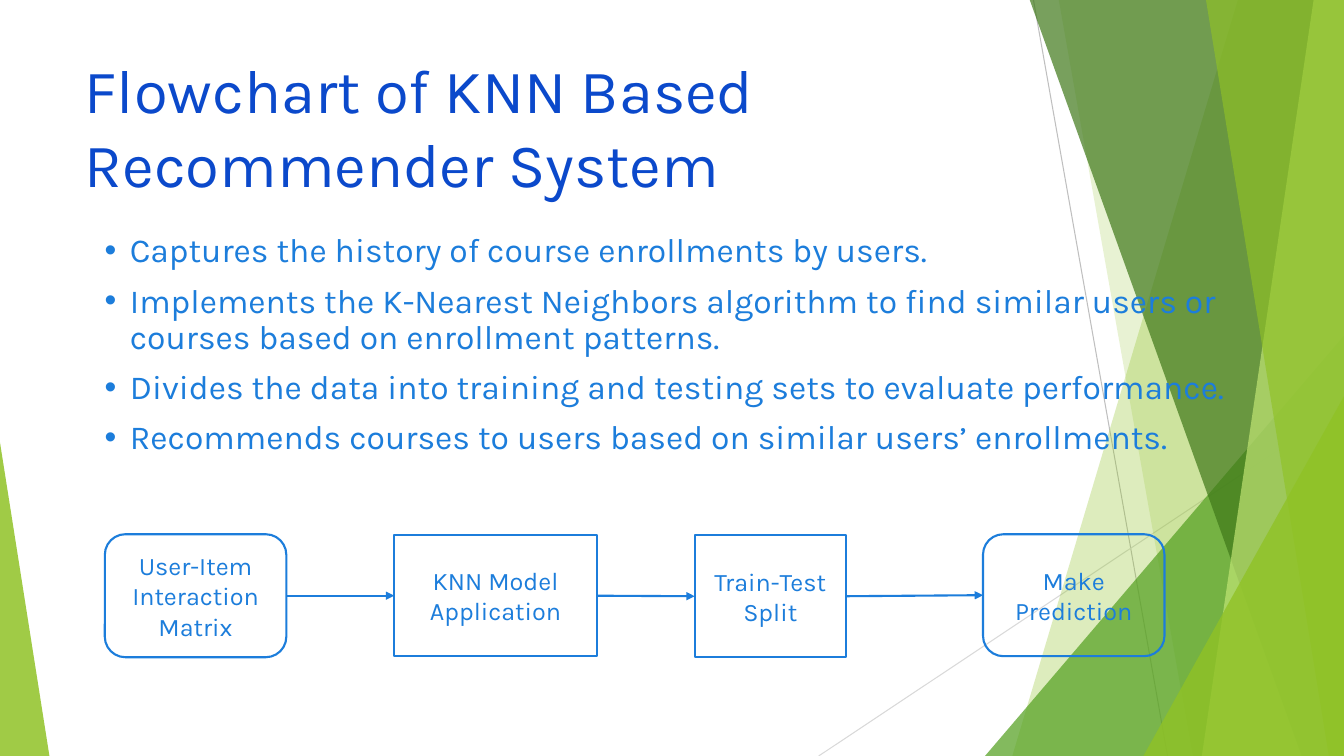
from lxml import etree
from pptx import Presentation
from pptx import util as u
from pptx.dml.color import RGBColor
from pptx.enum import shapes, text
from pptx.oxml import ns

PX = 9144  # EMU per px, 100 px to the inch
TITLE_BLUE = RGBColor(0x0B, 0x49, 0xCB)
BLUE = RGBColor(0x1C, 0x7D, 0xDB)
WHITE = RGBColor(0xFF, 0xFF, 0xFF)
GREY = RGBColor(0xBF, 0xBF, 0xBF)
PALE_GREY = RGBColor(0xD9, 0xD9, 0xD9)
LIME = RGBColor(0x90, 0xC2, 0x26)
PALE_LIME = RGBColor(0xC0, 0xE4, 0x74)
GREEN = RGBColor(0x54, 0xA0, 0x21)
DARK_GREEN = RGBColor(0x3F, 0x78, 0x19)
W, H = 1333, 750


def write(tf, lines, size, color, align, anchor, bullet=None):
    tf.word_wrap = True
    tf.auto_size = text.MSO_AUTO_SIZE.NONE
    tf.vertical_anchor = anchor
    for i, line in enumerate(lines):
        p = tf.add_paragraph() if i else tf.paragraphs[0]
        p.alignment = align
        r = p.add_run()
        r.text = line
        r.font.size, r.font.name = u.Pt(size), "Karla"
        r.font.color.rgb = color
        if bullet:
            p.line_spacing, p.space_before = 0.9, u.Pt(10)
            pPr = p._p.get_or_add_pPr()
            pPr.set("marL", str(25 * PX))
            pPr.set("indent", str(-25 * PX))
            etree.SubElement(pPr, ns.qn("a:buFont"), typeface="Arial")
            etree.SubElement(pPr, ns.qn("a:buChar"), char=bullet)


def add_line(x1, y1, x2, y2, color, width):
    c = s.shapes.add_connector(shapes.MSO_CONNECTOR.STRAIGHT, x1 * PX, y1 * PX, x2 * PX, y2 * PX)
    c.line.color.rgb, c.line.width = color, u.Pt(width)
    etree.SubElement(c._element.spPr, ns.qn("a:effectLst"))
    return c


prs = Presentation()
prs.slide_width, prs.slide_height = W * PX, H * PX
s = prs.slides.add_slide(prs.slide_layouts[5])

# Background facets
add_line(1025, 0, 1158, H, GREY, 0.75)
add_line(W, 403, 812, H, PALE_GREY, 0.75)

# Bands give top x and bottom x of the slanted edge;
# triangles give left, top, width and apex position
FACETS = [
    ("band", (1228, 1004), LIME, 30),
    ("band", (1050, 1183), LIME, 20),
    ("triangle", (977, 333, 356, 1), GREEN, 72),
    ("band", (1021, 1291), DARK_GREEN, 70),
    ("band", (1303, 1192), PALE_LIME, 70),
    ("band", (1196, 1318), LIME, 65),
    ("triangle", (1134, 393, 199, 1), LIME, 80),
    ("triangle", (0, 439, 49, 0), LIME, 85),
]
for kind, geometry, color, opacity in FACETS:
    if kind == "band":
        top_x, bottom_x = geometry
        outline = s.shapes.build_freeform(top_x, -1, scale=PX)
        outline.add_line_segments([(W, -1), (W, H), (bottom_x, H)])
        facet = outline.convert_to_shape()
    else:
        x, y, w, apex = geometry
        facet = s.shapes.add_shape(shapes.MSO_SHAPE.ISOSCELES_TRIANGLE,
                                   x * PX, y * PX, w * PX, (H - y) * PX)
        facet.adjustments[0] = apex
    facet.shadow.inherit = False
    facet.line.fill.background()
    facet.fill.solid()
    facet.fill.fore_color.rgb = color
    srgb = facet._element.spPr.find(ns.qn("a:solidFill"))[0]
    etree.SubElement(srgb, ns.qn("a:alpha"), val=str(opacity * 1000))

# Title, brought in front of the facets
title = s.shapes.title
s.shapes._spTree.append(title._element)
title.left, title.top, title.width, title.height = 74 * PX, 39 * PX, 1035 * PX, 172 * PX
write(title.text_frame, ["Flowchart of KNN Based Recommender System"], 44, TITLE_BLUE,
      text.PP_ALIGN.LEFT, text.MSO_ANCHOR.MIDDLE)

body = s.shapes.add_textbox(94 * PX, 227 * PX, 1184 * PX, 301 * PX)
write(body.text_frame, [
    "Captures the history of course enrollments by users.",
    "Implements the K-Nearest Neighbors algorithm to find similar users or courses "
    "based on enrollment patterns.",
    "Divides the data into training and testing sets to evaluate performance.",
    "Recommends courses to users based on similar users’ enrollments.",
], 24, BLUE, text.PP_ALIGN.LEFT, text.MSO_ANCHOR.TOP, bullet="•")

# Flowchart: rounded ends are see-through, inner steps are white
ROUND, RECT = shapes.MSO_SHAPE.ROUNDED_RECTANGLE, shapes.MSO_SHAPE.RECTANGLE
STEPS = [
    ("User-Item Interaction Matrix", ROUND, 104, 530, 180, 122),
    ("KNN Model Application", RECT, 391, 531, 201, 120),
    ("Train-Test Split", RECT, 689, 531, 150, 121),
    ("Make Prediction", ROUND, 975, 530, 180, 121),
]
boxes = []
for label, preset, x, y, w, h in STEPS:
    box = s.shapes.add_shape(preset, x * PX, y * PX, w * PX, h * PX)
    box.shadow.inherit = False
    box.line.color.rgb, box.line.width = BLUE, u.Pt(1.5)
    if preset == RECT:
        box.fill.solid()
        box.fill.fore_color.rgb = WHITE
    else:
        box.fill.background()
    write(box.text_frame, [label], 18, BLUE, text.PP_ALIGN.CENTER, text.MSO_ANCHOR.MIDDLE)
    boxes.append(box)

for source, target in zip(boxes, boxes[1:]):
    arrow = add_line(0, 0, 0, 0, BLUE, 1.5)
    arrow.begin_connect(source, 3)
    arrow.end_connect(target, 1)
    etree.SubElement(arrow.line._get_or_add_ln(), ns.qn("a:tailEnd"), type="triangle")

prs.save("out.pptx")
